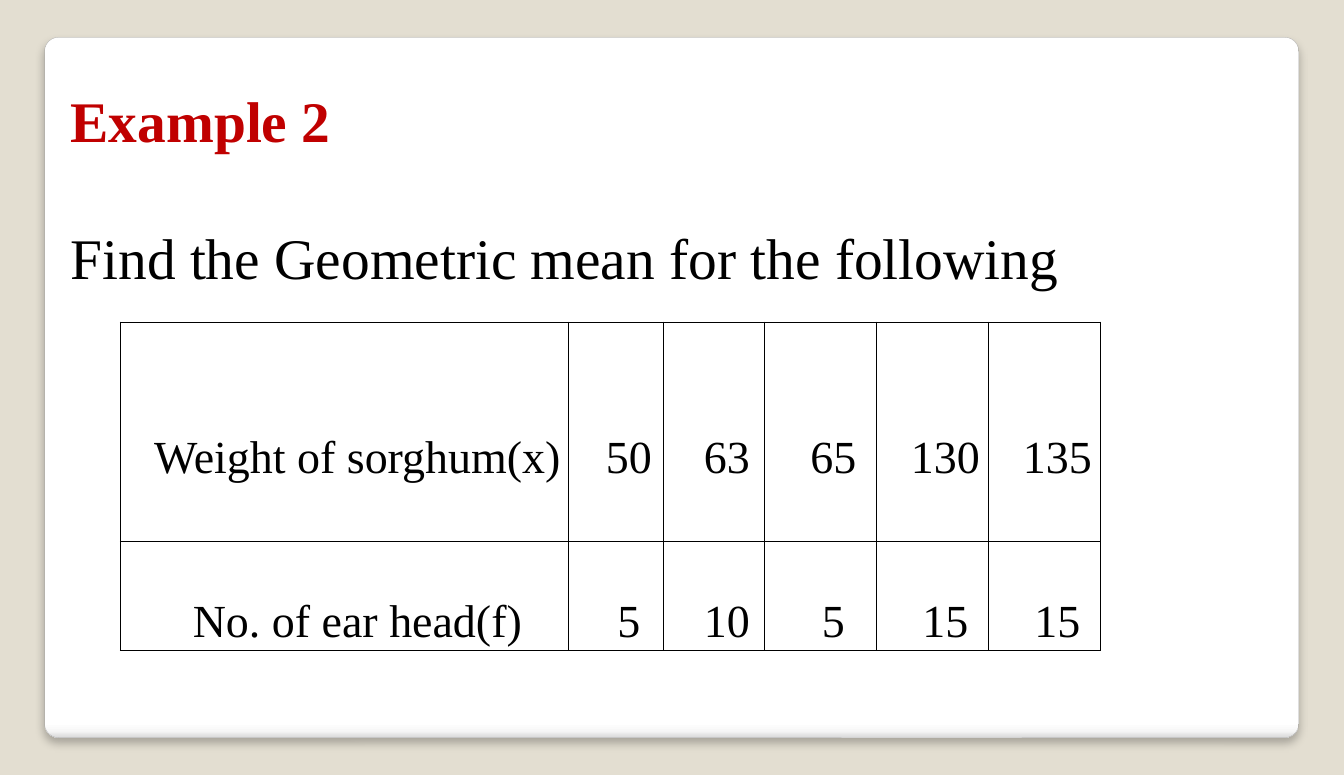
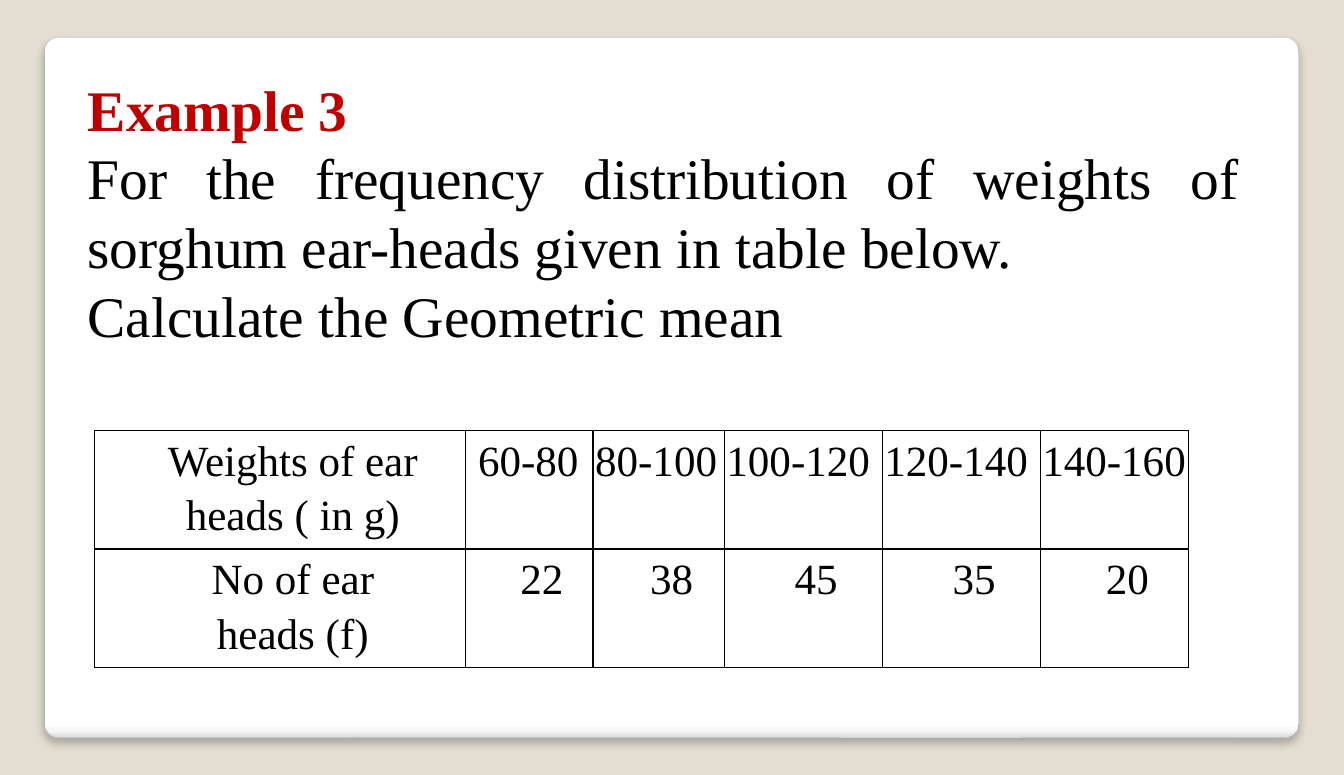
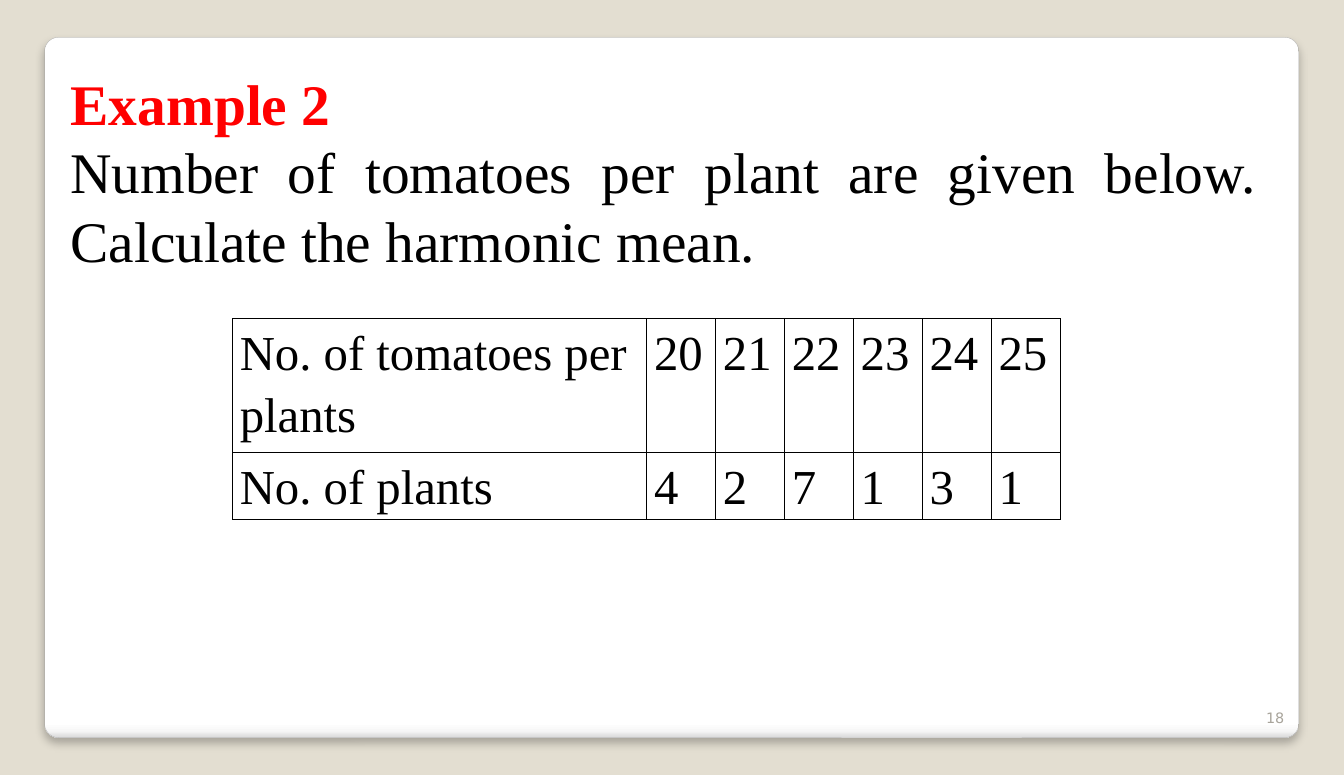
import pptx
import pptx.dml.color
import pptx.enum.shapes
import pptx.enum.text
import pptx.oxml
import pptx.oxml.ns
import pptx.util

Pt = pptx.util.Pt
ALIGN = pptx.enum.text.PP_ALIGN
ANCHOR = pptx.enum.text.MSO_ANCHOR

# Shared look
SERIF, SANS = "Times New Roman", "DejaVu Sans"
BLACK, SAND, EDGE, GREY = "000000", "E3DED1", "A4A4A4", "A8A49B"
PANEL = (31, 26, 873.5, 488)
PANEL_STOPS = [(0, "FFFFFF"), (98, "FFFFFF"), (99, "F7F7F7"), (100, "DADADA")]
TEXT_SIZE, LINE_H, INSET = 40, 47.8, 3.6
LEFT = dict(align=ALIGN.LEFT)
HANG = dict(align=ALIGN.CENTER, margin=36, indent=-18)

# Content: each table row is (label, label format, values, value format)
SLIDES = [
    dict(title="Example 2", color="C00000", at=(42, 55.5), width=846, gap_lines=1,
         body="Find the Geometric mean for the following",
         table=dict(at=(84, 224.5), cols=[312, 66, 70.5, 78, 78, 78], heights=[153, 76],
                    size=32, spacing=2.0, side=5, anchor=ANCHOR.MIDDLE, rows=[
                        ("Weight of sorghum(x)", HANG, ["50", "63", "65", "130", "135"], HANG),
                        ("No. of ear head(f)", HANG, ["5", "10", "5", "15", "15"], HANG)])),
    dict(title="Example 3", color="C00000", at=(54, 48), width=816, gap_lines=0,
         body="For the frequency distribution of weights of sorghum ear-heads "
              "given in table below.\nCalculate the Geometric mean",
         table=dict(at=(66, 300), cols=[258, 89, 91.5, 110, 110, 103.5], heights=[82.5, 82.5],
                    size=30, spacing=1.15, side=1.5, anchor=ANCHOR.TOP, rows=[
                        ("Weights of ear\nheads ( in g)", HANG,
                         [" 60-80", "80-100", "100-120", "120-140", "140-160"], LEFT),
                        ("No of ear\nheads (f)", HANG, ["22", "38", "45", "35", "20"], HANG)])),
    dict(title="Example 2", color="FF0000", at=(42, 43.5), width=840, gap_lines=0,
         body="Number of tomatoes per plant are given below. Calculate the harmonic mean.",
         number="18",
         table=dict(at=(162, 222), cols=[288.5] + [48] * 6, heights=[93.5, 46.5],
                    size=34, spacing=1.15, side=5, anchor=ANCHOR.TOP, rows=[
                        ("No. of tomatoes per plants", LEFT,
                         ["20", "21", "22", "23", "24", "25"], LEFT),
                        ("No. of plants", LEFT, ["4", "2", "7", "1", "3", "1"], LEFT)])),
]


def rgb(color):
    return pptx.dml.color.RGBColor.from_string(color)


def xml(text):
    """Parse one drawing element, adding the namespace to its first tag."""
    tag, rest = text.split(" ", 1)
    return pptx.oxml.parse_xml(f"{tag} {pptx.oxml.ns.nsdecls('a')} {rest}")


def write(tf, text, size=TEXT_SIZE, font=SERIF, color=BLACK, bold=False,
          align=ALIGN.LEFT, spacing=None, margin=0, indent=0):
    for i, line in enumerate(text.split("\n")):
        p = tf.add_paragraph() if i else tf.paragraphs[0]
        p.alignment = align
        if spacing:
            p.line_spacing = spacing
        if margin:
            pPr = p._p.get_or_add_pPr()
            pPr.set("marL", str(Pt(margin)))
            pPr.set("indent", str(Pt(indent)))
        r = p.add_run()
        r.text = line
        r.font.name, r.font.size, r.font.bold = font, Pt(size), bold
        r.font.color.rgb = rgb(color)


def place(sp, left, top, width, height, anchor=ANCHOR.TOP):
    sp.left, sp.top, sp.width, sp.height = map(Pt, (left, top, width, height))
    tf = sp.text_frame
    tf.word_wrap = True
    tf.auto_size = pptx.enum.text.MSO_AUTO_SIZE.NONE
    tf.vertical_anchor = anchor
    return tf


def add_text(slide, box, text, anchor=ANCHOR.TOP, **fmt):
    sp = slide.shapes.add_textbox(0, 0, 0, 0)
    write(place(sp, *box, anchor=anchor), text, **fmt)


def add_panel(slide, layout):
    """Draw the white card and put it behind the layout's placeholders."""
    sp = slide.shapes.add_shape(pptx.enum.shapes.MSO_SHAPE.ROUNDED_RECTANGLE, *map(Pt, PANEL))
    sp.adjustments[0] = 0.02
    sp.fill.gradient()
    sp.fill.gradient_angle = 270
    stops = sp.element.find(".//" + pptx.oxml.ns.qn("a:gsLst"))
    for stop in list(stops):
        stops.remove(stop)
    for pos, color in PANEL_STOPS:
        stops.append(xml(f'<a:gs pos="{pos * 1000}"><a:srgbClr val="{color}"/></a:gs>'))
    sp.line.color.rgb = rgb(EDGE)
    sp.line.width = Pt(0.16)
    sp.shadow.inherit = False
    effects = sp.element.find(".//" + pptx.oxml.ns.qn("a:effectLst"))
    effects.append(xml(
        f'<a:outerShdw blurRad="{Pt(6)}" dist="{Pt(4)}" dir="5400000" algn="t" rotWithShape="0">'
        '<a:srgbClr val="000000"><a:alpha val="25000"/></a:srgbClr></a:outerShdw>'))
    layout.placeholders[0].element.addprevious(sp.element)


def format_cell(cell, side, anchor):
    cell.margin_left = cell.margin_right = Pt(side)
    cell.margin_top = cell.margin_bottom = 0
    cell.vertical_anchor = anchor
    tcPr = cell._tc.get_or_add_tcPr()
    for edge in "LRTB":
        tcPr.append(xml(f'<a:ln{edge} w="{Pt(1)}"><a:solidFill><a:srgbClr val="{BLACK}"/>'
                        f'</a:solidFill></a:ln{edge}>'))
    cell.fill.background()


def add_table(slide, at, cols, heights, size, spacing, side, anchor, rows):
    box = (*at, sum(cols), sum(heights))
    table = slide.shapes.add_table(len(rows), len(cols), *map(Pt, box)).table
    table.first_row = table.horz_banding = False
    for column, width in zip(table.columns, cols):
        column.width = Pt(width)
    for i, (label, label_fmt, values, value_fmt) in enumerate(rows):
        table.rows[i].height = Pt(heights[i])
        for j, text in enumerate([label] + values):
            cell = table.cell(i, j)
            format_cell(cell, side, anchor)
            write(cell.text_frame, text, size=size, spacing=spacing,
                  **(value_fmt if j else label_fmt))


def main():
    prs = pptx.Presentation()
    prs.slide_width, prs.slide_height = Pt(936), Pt(540)
    layout = prs.slide_layouts[5]
    fill = prs.slide_master.background.fill
    fill.solid()
    fill.fore_color.rgb = rgb(SAND)

    for i, item in enumerate(SLIDES):
        slide = prs.slides.add_slide(layout)
        if i == 0:
            add_panel(slide, layout)

        # Title and question
        left, top = item["at"]
        title_box = (left, top, item["width"], LINE_H + 2 * INSET)
        write(place(slide.shapes.title, *title_box), item["title"],
              color=item["color"], bold=True)
        body_top = top + LINE_H * (1 + item["gap_lines"])
        lines = 3 if "\n" in item["body"] else 2 - item["gap_lines"]
        add_text(slide, (left, body_top, item["width"], lines * LINE_H + 2 * INSET),
                 item["body"], align=ALIGN.JUSTIFY)

        # Data and slide number
        add_table(slide, **item["table"])
        if "number" in item:
            add_text(slide, (854.5, 481, 47, 29), item["number"], anchor=ANCHOR.BOTTOM,
                     size=10, font=SANS, color=GREY, align=ALIGN.RIGHT)

    prs.save("out.pptx")


if __name__ == "__main__":
    main()
